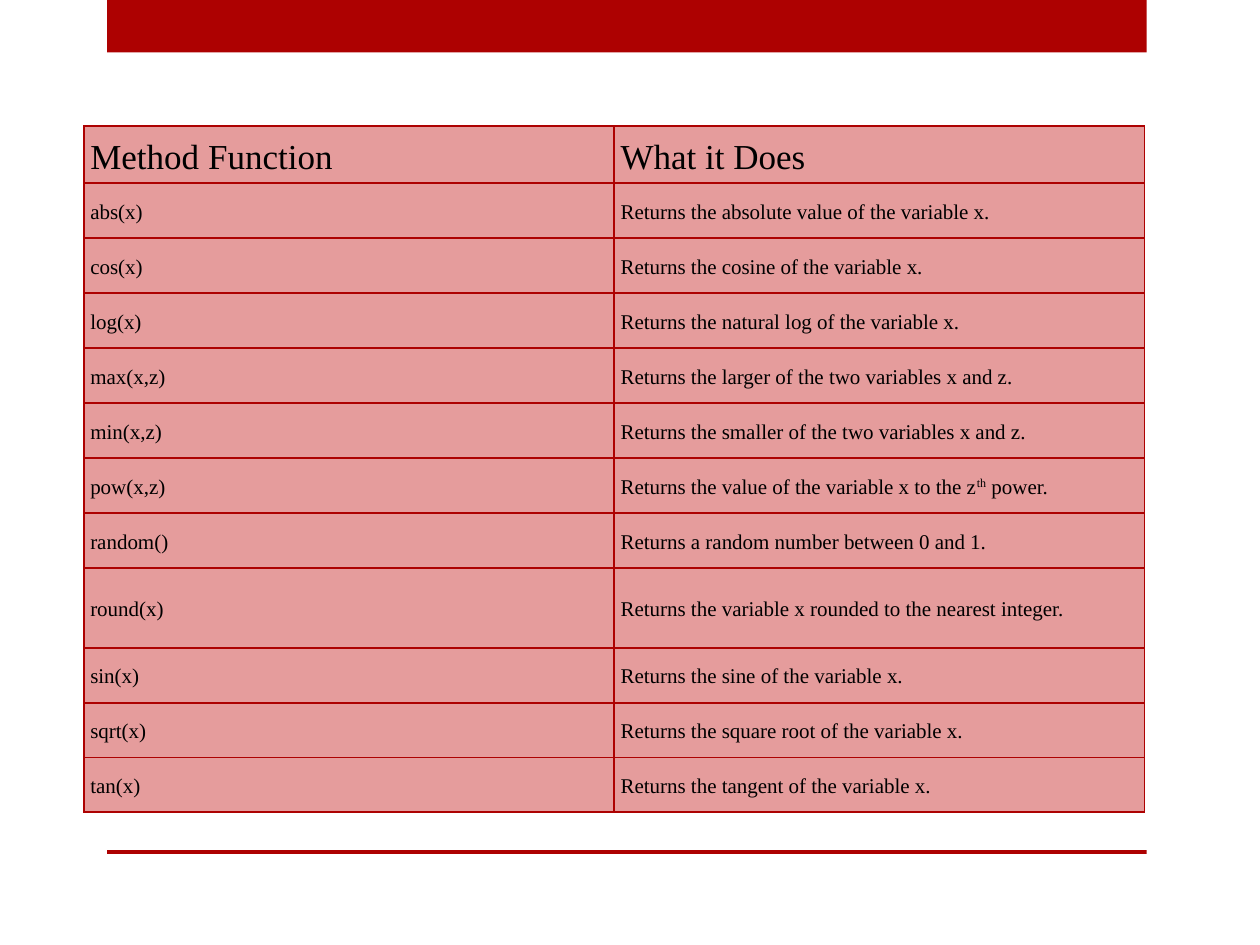
from pptx import Presentation
from pptx.dml.color import RGBColor
from pptx.enum.shapes import MSO_SHAPE
from pptx.enum.text import MSO_ANCHOR
from pptx.oxml import parse_xml
from pptx.oxml.ns import nsdecls
from pptx.util import Pt

COLORS = {"red": "AD0101", "pink": "E59C9C", "text": "000000"}
FONT = "Times New Roman"
CELL_FORMAT = {
    "margin_left": Pt(3.6),
    "margin_right": Pt(3.6),
    "margin_top": Pt(3.6),
    "margin_bottom": Pt(3.6),
    "vertical_anchor": MSO_ANCHOR.MIDDLE,
}
# A "^" sets off superscript text on both sides.
METHODS = [
    ("Method Function", "What it Does"),
    ("abs(x)", "Returns the absolute value of the variable x."),
    ("cos(x)", "Returns the cosine of the variable x."),
    ("log(x)", "Returns the natural log of the variable x."),
    ("max(x,z)", "Returns the larger of the two variables x and z."),
    ("min(x,z)", "Returns the smaller of the two variables x and z."),
    ("pow(x,z)", "Returns the value of the variable x to the z^th^ power."),
    ("random()", "Returns a random number between 0 and 1."),
    ("round(x)", "Returns the variable x rounded to the nearest integer."),
    ("sin(x)", "Returns the sine of the variable x."),
    ("sqrt(x)", "Returns the square root of the variable x."),
    ("tan(x)", "Returns the tangent of the variable x."),
]
HEADER_HEIGHT, ROW_HEIGHT, TALL_HEIGHT = 32.6, 31.4, 45.7


def add_borders(cell):
    properties = cell._tc.get_or_add_tcPr()
    for side in ("lnL", "lnR", "lnT", "lnB"):
        properties.append(parse_xml(
            f'<a:{side} {nsdecls("a")} w="{Pt(1.25)}"><a:solidFill>'
            f'<a:srgbClr val="{COLORS["red"]}"/></a:solidFill></a:{side}>'))


def write_text(cell, text, size):
    """Fill the cell with one paragraph, raising the parts between carets."""
    paragraph = cell.text_frame.paragraphs[0]
    paragraph.line_spacing = 1.15
    for part, words in enumerate(text.split("^")):
        run = paragraph.add_run()
        run.text = words
        for name, value in {"name": FONT, "size": Pt(size), "bold": False}.items():
            setattr(run.font, name, value)
        run.font.color.rgb = RGBColor.from_string(COLORS["text"])
        if part % 2:
            run._r.get_or_add_rPr().set("baseline", "30000")


prs = Presentation()
prs.slide_width, prs.slide_height = Pt(720), Pt(540)
slide = prs.slides.add_slide(prs.slide_layouts[6])

# Bands at the top and bottom
for top, height in ((0, 30), (485.8, 2.2)):
    band = slide.shapes.add_shape(
        MSO_SHAPE.RECTANGLE, Pt(61.2), Pt(top), Pt(594), Pt(height))
    band.shadow.inherit = False
    band.fill.solid()
    band.fill.fore_color.rgb = RGBColor.from_string(COLORS["red"])
    band.line.fill.background()

# Table of methods
heights = [HEADER_HEIGHT] + [
    TALL_HEIGHT if method == "round(x)" else ROW_HEIGHT for method, _ in METHODS[1:]]
methods_table = slide.shapes.add_table(
    len(METHODS), 2, Pt(48), Pt(72), Pt(606), Pt(sum(heights))).table
methods_table.first_row = False
methods_table.horz_banding = False
for column in methods_table.columns:
    column.width = Pt(303)

for row_index, (entries, height) in enumerate(zip(METHODS, heights)):
    methods_table.rows[row_index].height = Pt(height)
    for column_index, text in enumerate(entries):
        cell = methods_table.cell(row_index, column_index)
        for name, value in CELL_FORMAT.items():
            setattr(cell, name, value)
        add_borders(cell)
        cell.fill.solid()
        cell.fill.fore_color.rgb = RGBColor.from_string(COLORS["pink"])
        write_text(cell, text, 12 if row_index else 20)

prs.save("out.pptx")
